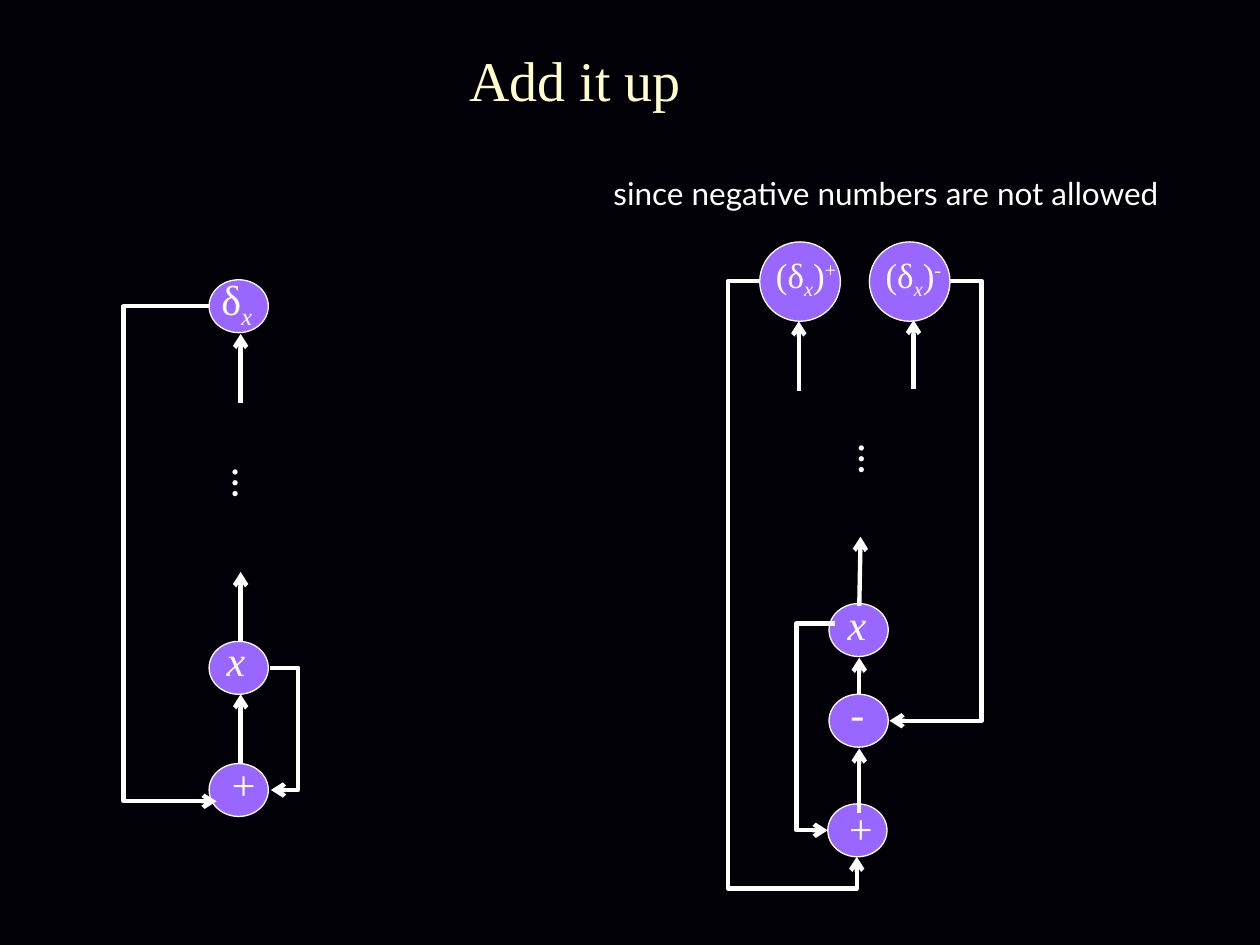
import pptx
import pptx.dml.color
import pptx.enum.shapes
import pptx.enum.text
import pptx.oxml
import pptx.oxml.ns
import pptx.util
from pptx.util import Inches

COLORS = {"background": "010006", "title": "FFFFCC", "node": "9966FF", "white": "FFFFFF"}
SERIF, SANS = "Times New Roman", "Lato"

# Circles: left, top
SMALL_SIZE, LARGE_SIZE = (0.47, 0.42), (0.64, 0.63)
SMALL_NODES = [(1.66, 5.09), (1.66, 2.22), (1.66, 6.06), (6.57, 6.38), (6.58, 5.51), (6.58, 4.79)]
LARGE_NODES = [(6.03, 1.92), (6.9, 1.92)]

# Upward arrows: start, end
ARROWS = [
    ((1.91, 6.06), (1.91, 5.51)), ((1.91, 5.09), (1.91, 4.54)), ((1.91, 3.2), (1.91, 2.65)),
    ((6.82, 6.45), (6.82, 5.94)), ((6.82, 5.51), (6.82, 5.22)), ((6.82, 4.81), (6.83, 4.26)),
    ((6.34, 3.1), (6.34, 2.55)), ((7.25, 3.09), (7.25, 2.54)),
]
# Feedback loops: start, end, x of the vertical run, y of the lower run (None: level with the end)
LOOPS = [
    ((1.66, 2.43), (1.72, 6.36), 0.98, None),
    ((2.14, 5.3), (2.15, 6.27), 2.37, None),
    ((6.03, 2.23), (6.8, 6.8), 5.78, 7.05),
    ((6.63, 4.95), (6.57, 6.59), 6.32, None),
    ((7.54, 2.23), (7.06, 5.72), 7.79, None),
]

# Runs: text, italic, baseline shift in percent
X, PLUS, MINUS = [("x", True, 0)], [("+", True, 0)], [("-", True, 0)]
DELTA = [("δ", False, 0), ("x", True, -25)]


def signed_delta(sign):
    return [("(δ", False, 0), ("x", True, -25), (")", False, 0), (sign, False, 30)]


# Labels: left, top, width, height, size, runs
LABELS = [
    (1.7, 4.99, 0.5, 0.5, 24, X), (1.66, 2.12, 0.6, 0.5, 24, DELTA), (1.72, 5.97, 0.5, 0.5, 24, PLUS),
    (6.62, 6.32, 0.5, 0.5, 24, PLUS), (6.65, 5.41, 0.5, 0.5, 24, MINUS), (6.63, 4.7, 0.5, 0.5, 24, X),
    (6.06, 1.96, 0.95, 0.44, 20, signed_delta("+")), (6.93, 1.96, 0.95, 0.44, 20, signed_delta("-")),
]
ELLIPSES = [(1.74, 3.6), (6.71, 3.41)]


def color(name):
    return pptx.dml.color.RGBColor.from_string(COLORS[name])


def add_text(page, left, top, width, height, size, runs, font=SERIF, ink="white", wrap=True):
    box = page.shapes.add_textbox(Inches(left), Inches(top), Inches(width), Inches(height))
    box.text_frame.word_wrap = wrap
    para = box.text_frame.paragraphs[0]
    for text, italic, baseline in runs:
        span = para.add_run()
        span.text = text
        span.font.name, span.font.size = font, pptx.util.Pt(size)
        span.font.italic = italic
        span.font.color.rgb = color(ink)
        if baseline:
            span.font._element.set("baseline", str(baseline * 1000))
    return box


def add_node(page, left, top, size):
    node = page.shapes.add_shape(
        pptx.enum.shapes.MSO_SHAPE.OVAL, Inches(left), Inches(top), *map(Inches, size))
    node.shadow.inherit = False
    node.fill.solid()
    node.fill.fore_color.rgb = color("node")
    node.line.color.rgb = color("white")
    node.line.width = pptx.util.Pt(0.75)


def add_arrow(page, start, end, kind="STRAIGHT"):
    arrow = page.shapes.add_connector(
        pptx.enum.shapes.MSO_CONNECTOR[kind], *map(Inches, start + end))
    arrow.line.color.rgb = color("white")
    arrow.line.width = pptx.util.Pt(2.5)
    pptx.oxml.ns.qn("a:tailEnd")
    tail = pptx.oxml.parse_xml(f'<a:tailEnd {pptx.oxml.ns.nsdecls("a")} type="arrow"/>')
    arrow.line._get_or_add_ln().append(tail)
    arrow._element.spPr.append(
        pptx.oxml.parse_xml(f'<a:effectLst {pptx.oxml.ns.nsdecls("a")}/>'))
    return arrow


def add_loop(page, start, end, turn_x, turn_y):
    """Bent arrow whose bends are given as shares of its width and height."""
    arrow = add_arrow(page, start, end, "ELBOW")
    bends = [(turn_x - start[0]) / (end[0] - start[0])]
    geometry = arrow._element.spPr.find(pptx.oxml.ns.qn("a:prstGeom"))
    if turn_y is not None:
        bends.append((turn_y - start[1]) / (end[1] - start[1]))
        geometry.set("prst", "bentConnector4")
    guides = geometry.find(pptx.oxml.ns.qn("a:avLst"))
    for number, bend in enumerate(bends, 1):
        guides.append(pptx.oxml.parse_xml(
            f'<a:gd {pptx.oxml.ns.nsdecls("a")} name="adj{number}" fmla="val {round(bend * 100000)}"/>'))


def main():
    deck = pptx.Presentation()
    deck.slide_width, deck.slide_height = Inches(10), Inches(7.5)
    page = deck.slides.add_slide(deck.slide_layouts[6])
    page.background.fill.solid()
    page.background.fill.fore_color.rgb = color("background")

    title = add_text(page, 0.25, 0, 8.63, 1.25, 32, [("Add it up", False, 0)], ink="title")
    title.text_frame.vertical_anchor = pptx.enum.text.MSO_ANCHOR.MIDDLE
    title.text_frame.paragraphs[0].alignment = pptx.enum.text.PP_ALIGN.CENTER
    add_text(page, 4.77, 1.33, 4.72, 0.4, 18,
             [("since negative numbers are not allowed", False, 0)], font=SANS, wrap=False)

    for nodes, size in ((SMALL_NODES, SMALL_SIZE), (LARGE_NODES, LARGE_SIZE)):
        for left, top in nodes:
            add_node(page, left, top, size)
    for start, end in ARROWS:
        add_arrow(page, start, end)
    for loop in LOOPS:
        add_loop(page, *loop)
    for label in LABELS:
        add_text(page, *label)
    for left, top in ELLIPSES:
        dots = add_text(page, left, top, 0.48, 0.5, 24, [("…", False, 0)], font=SANS, wrap=False)
        dots.rotation = 90

    deck.save("out.pptx")


if __name__ == "__main__":
    main()
